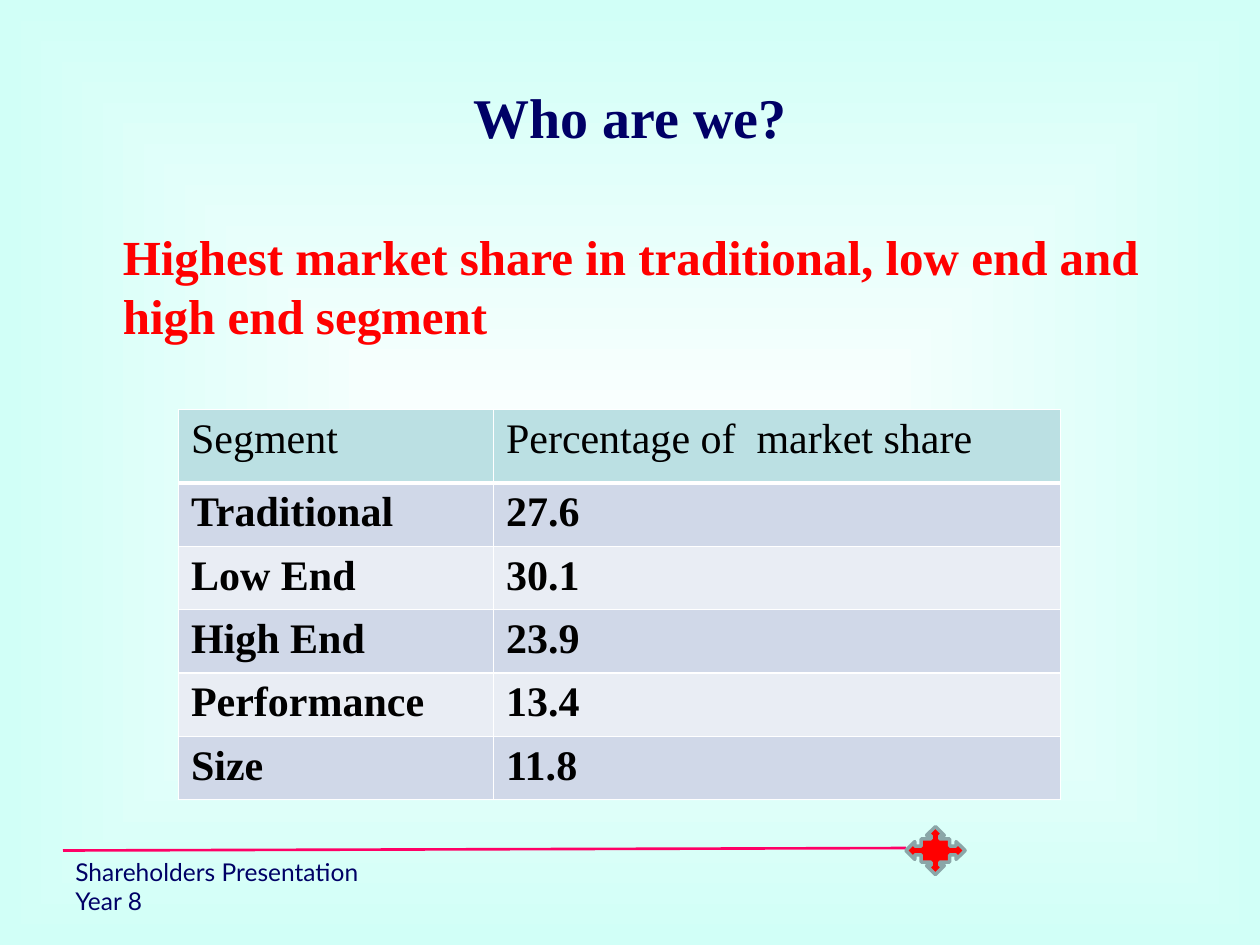
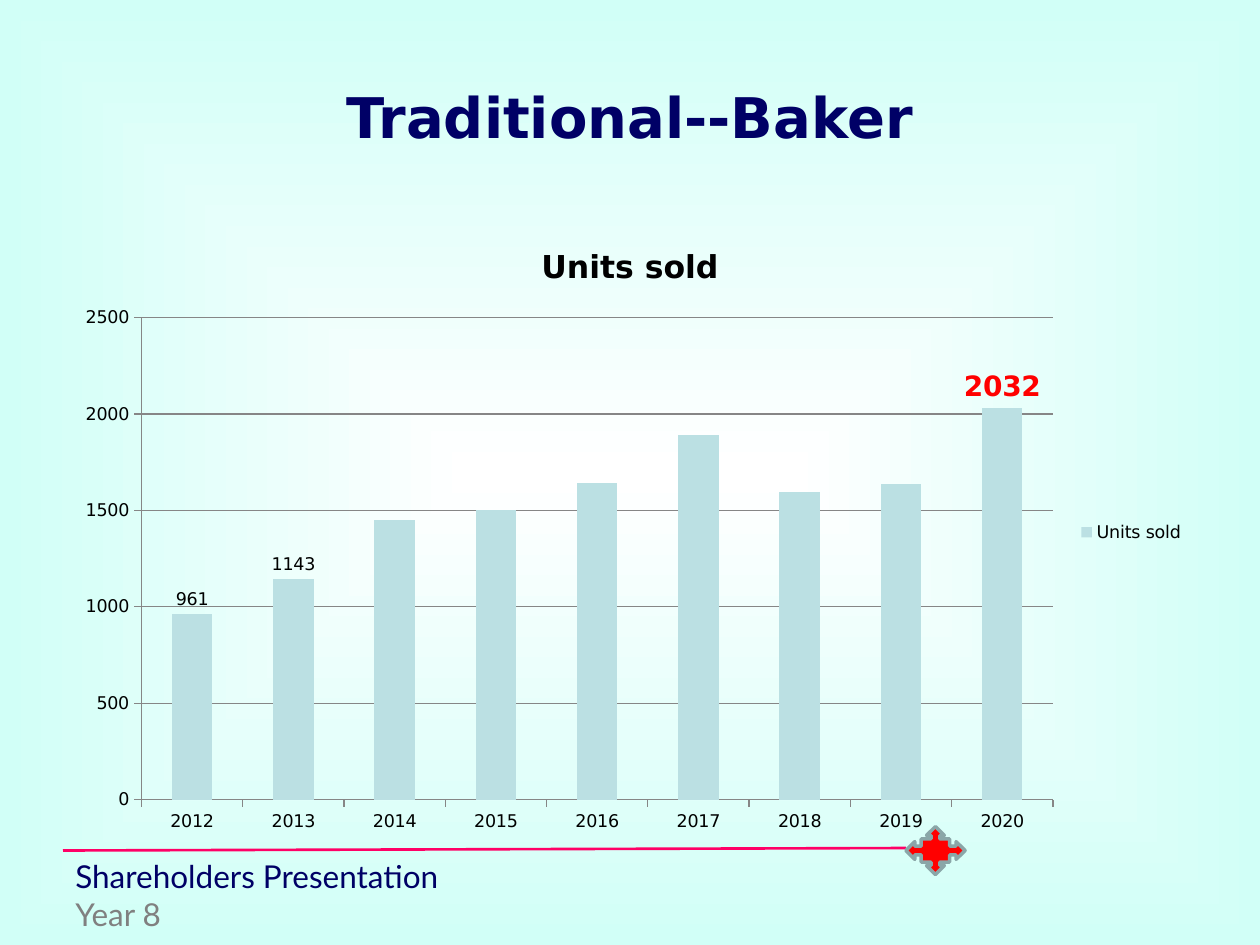
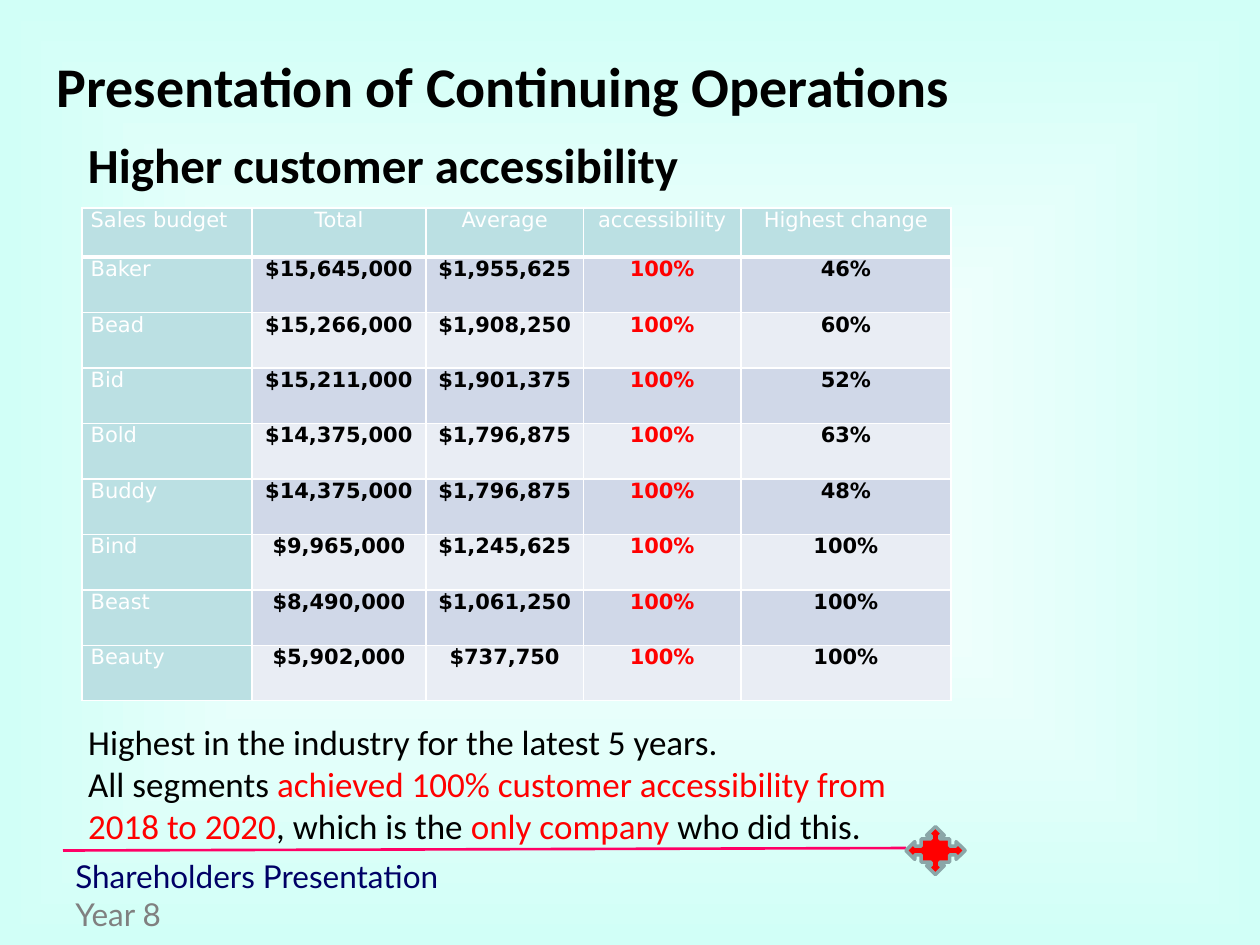
from dataclasses import dataclass

from lxml import etree
from pptx import Presentation
from pptx import util as u
from pptx.chart import data as cd
from pptx.dml import color as col
from pptx.enum import chart as ch
from pptx.enum import shapes, text
from pptx.oxml import ns

Pt = u.Pt
LEFT, CENTER = text.PP_ALIGN.LEFT, text.PP_ALIGN.CENTER
TOP, MIDDLE = text.MSO_ANCHOR.TOP, text.MSO_ANCHOR.MIDDLE


@dataclass(frozen=True)
class Theme:
    navy: str = "000066"
    red: str = "FF0000"
    black: str = "000000"
    white: str = "FFFFFF"
    gray: str = "808080"
    grid: str = "868686"
    mint: str = "D1FFF7"
    teal: str = "BBE0E3"
    band_dark: str = "D0D8E8"
    band_light: str = "E9EDF4"
    rule: str = "FF0066"
    emblem_line: str = "8AA6A8"
    serif: str = "Times New Roman"
    sans: str = "DejaVu Sans"
    plain: str = "Calibri"
    footer: str = "Lato"
    title: float = 32
    lead: float = 28
    cell: float = 24
    note: float = 20
    chart_title: float = 18
    footer_large: float = 18
    highlight: float = 16
    footer_small: float = 14
    small_cell: float = 12
    chart: float = 10


T = Theme()


@dataclass(frozen=True)
class Box:
    x: float
    y: float
    w: float
    h: float

    def lengths(self) -> tuple:
        return Pt(self.x), Pt(self.y), Pt(self.w), Pt(self.h)


@dataclass(frozen=True)
class Style:
    font: str
    size: float
    color: str = T.black
    bold: bool = False


@dataclass(frozen=True)
class Run:
    text: str
    style: Style


@dataclass(frozen=True)
class Cell:
    text: str
    style: Style
    fill: str
    align: int = LEFT


@dataclass(frozen=True)
class Grid:
    x: float
    y: float
    widths: list
    heights: list
    pad_x: float
    pad_y: float


TITLE_BOX = Box(36, 21.6, 648, 90)
BODY_BOX = Box(36, 126, 648, 356.4)
FOOTER_BOX = Box(36, 486, 540, 30.2)
EMBLEM_BOX = Box(517.7, 472.3, 33.8, 27.4)


def rgb(value: str) -> col.RGBColor:
    return col.RGBColor.from_string(value)


def set_font(font, style: Style) -> None:
    font.name, font.size, font.bold = style.font, Pt(style.size), style.bold
    font.color.rgb = rgb(style.color)


def write(tf, paragraphs: list, align=LEFT, anchor=TOP, before: float = 0) -> None:
    tf.word_wrap = True
    tf.auto_size = text.MSO_AUTO_SIZE.NONE
    tf.vertical_anchor = anchor
    for i, runs in enumerate(paragraphs):
        p = tf.paragraphs[0] if i == 0 else tf.add_paragraph()
        p.alignment, p.space_before = align, Pt(before)
        for run in runs:
            r = p.add_run()
            r.text = run.text
            set_font(r.font, run.style)


def place(sp, box: Box) -> None:
    sp.left, sp.top, sp.width, sp.height = box.lengths()


def add_title(s, run: Run, box: Box = TITLE_BOX, align=CENTER, anchor=MIDDLE) -> None:
    sp = s.shapes.title
    place(sp, box)
    write(sp.text_frame, [[run]], align, anchor)


def add_body(s, box: Box, paragraphs: list, indent: float = 0, before: float = 0) -> None:
    sp = s.placeholders[1]
    place(sp, box)
    write(sp.text_frame, paragraphs, before=before)
    for p in sp.text_frame.paragraphs:
        pPr = p._p.get_or_add_pPr()
        pPr.set("marL", str(Pt(indent)))
        pPr.set("indent", "0")
        etree.SubElement(pPr, ns.qn("a:buNone"))


def add_text(s, box: Box, paragraphs: list, before: float = 0) -> None:
    sp = s.shapes.add_textbox(*box.lengths())
    write(sp.text_frame, paragraphs, before=before)


def add_footer(s, size: float, year_color: str) -> None:
    line = s.shapes.add_connector(
        shapes.MSO_CONNECTOR.STRAIGHT, Pt(36), Pt(486), Pt(517.7), Pt(484.6))
    line.line.color.rgb = rgb(T.rule)
    line.line.width = Pt(1.5)
    etree.SubElement(line.element.spPr, ns.qn("a:effectLst"))
    sp = s.shapes.add_shape(shapes.MSO_SHAPE.QUAD_ARROW_CALLOUT, *EMBLEM_BOX.lengths())
    sp.shadow.inherit = False
    sp.fill.solid()
    sp.fill.fore_color.rgb = rgb(T.red)
    sp.line.color.rgb = rgb(T.emblem_line)
    sp.line.width = Pt(2)
    add_text(s, FOOTER_BOX, [
        [Run("Shareholders Presentation", Style(T.footer, size, T.navy))],
        [Run("Year 8", Style(T.footer, size, year_color))],
    ])


def set_background(master) -> None:
    master.background.fill.solid()
    bgPr = master.element.xpath("p:cSld/p:bg/p:bgPr")[0]
    grad = etree.Element(ns.qn("a:gradFill"), rotWithShape="1")
    stops = etree.SubElement(grad, ns.qn("a:gsLst"))
    for pos, value in (("0", T.white), ("100000", T.mint)):
        gs = etree.SubElement(stops, ns.qn("a:gs"), pos=pos)
        etree.SubElement(gs, ns.qn("a:srgbClr"), val=value)
    shade = etree.SubElement(grad, ns.qn("a:path"), path="shape")
    etree.SubElement(shade, ns.qn("a:fillToRect"), l="50000", t="50000", r="50000", b="50000")
    bgPr.replace(bgPr[0], grad)


def set_borders(cell, top: float, bottom: float) -> None:
    tcPr = cell._tc.get_or_add_tcPr()
    edges = (("a:lnL", 1), ("a:lnR", 1), ("a:lnT", top), ("a:lnB", bottom))
    for i, (tag, width) in enumerate(edges):
        ln = etree.Element(ns.qn(tag), w=str(Pt(width)))
        fill = etree.SubElement(ln, ns.qn("a:solidFill"))
        etree.SubElement(fill, ns.qn("a:srgbClr"), val=T.white)
        tcPr.insert(i, ln)


def add_table(s, grid: Grid, rows: list) -> None:
    box = Box(grid.x, grid.y, sum(grid.widths), sum(grid.heights))
    table = s.shapes.add_table(len(rows), len(grid.widths), *box.lengths()).table
    table.first_row = table.horz_banding = False
    for column, width in zip(table.columns, grid.widths):
        column.width = Pt(width)
    for i, row in enumerate(rows):
        table.rows[i].height = Pt(grid.heights[i])
        for j, item in enumerate(row):
            cell = table.cell(i, j)
            cell.margin_left = cell.margin_right = Pt(grid.pad_x)
            cell.margin_top = cell.margin_bottom = Pt(grid.pad_y)
            cell.fill.solid()
            cell.fill.fore_color.rgb = rgb(item.fill)
            set_borders(cell, 3 if i == 1 else 1, 3 if i == 0 else 1)
            p = cell.text_frame.paragraphs[0]
            p.alignment = item.align
            r = p.add_run()
            r.text = item.text
            set_font(r.font, item.style)


def band(i: int) -> str:
    return T.band_light if i % 2 else T.band_dark


def build_share_slide(prs) -> None:
    s = prs.slides.add_slide(prs.slide_layouts[1])
    add_footer(s, T.footer_small, T.navy)
    add_title(s, Run("Who are we?", Style(T.serif, T.title, T.navy, True)))
    lead = Run("Highest market share in traditional, low end and high end segment",
               Style(T.serif, T.lead, T.red, True))
    add_body(s, BODY_BOX, [[lead]], indent=27, before=5.6)
    shares = [("Traditional", "27.6"), ("Low End", "30.1"), ("High End", "23.9"),
              ("Performance", "13.4"), ("Size", "11.8")]
    header, strong = Style(T.serif, T.cell), Style(T.serif, T.cell, bold=True)
    rows = [[Cell(t, header, T.teal) for t in ("Segment", "Percentage of  market share")]]
    rows += [[Cell(t, strong, band(i)) for t in pair] for i, pair in enumerate(shares)]
    add_table(s, Grid(102, 234, [180, 324], [42] + [36.2] * 5, 7.2, 3.6), rows)


def build_sales_slide(prs) -> None:
    s = prs.slides.add_slide(prs.slide_layouts[5])
    add_footer(s, T.footer_large, T.gray)
    add_title(s, Run("Traditional--Baker", Style(T.sans, T.title, T.navy, True)))
    data = cd.CategoryChartData()
    data.categories = [str(year) for year in range(2012, 2021)]
    data.add_series("Units sold", (961, 1143, 1448, 1504, 1643, 1891, 1593, 1635, 2032))
    chart = s.shapes.add_chart(
        ch.XL_CHART_TYPE.COLUMN_CLUSTERED, *BODY_BOX.lengths(), data).chart
    base = Style(T.sans, T.chart)
    set_font(chart.font, base)
    chart.has_title = True
    r = chart.chart_title.text_frame.paragraphs[0].add_run()
    r.text = "Units sold"
    set_font(r.font, Style(T.sans, T.chart_title, bold=True))
    chart.has_legend = True
    chart.legend.position = ch.XL_LEGEND_POSITION.RIGHT
    chart.legend.include_in_layout = False
    values = chart.value_axis
    values.minimum_scale, values.maximum_scale, values.major_unit = 0, 2500, 500
    values.has_major_gridlines = True
    for fmt in (values.format, chart.category_axis.format, values.major_gridlines.format):
        fmt.line.color.rgb = rgb(T.grid)
        fmt.line.width = Pt(0.75)
    for axis in (values, chart.category_axis):
        axis.major_tick_mark = ch.XL_TICK_MARK.OUTSIDE
    plot = chart.plots[0]
    plot.gap_width, plot.vary_by_categories = 150, False
    series = plot.series[0]
    series.format.fill.solid()
    series.format.fill.fore_color.rgb = rgb(T.teal)
    series.data_labels.show_value = False
    record = Style(T.sans, T.highlight, T.red, True)
    for i, style in ((0, base), (1, base), (8, record)):
        label = series.points[i].data_label
        set_font(label.font, style)
        label.position = ch.XL_LABEL_POSITION.OUTSIDE_END


def build_access_slide(prs) -> None:
    s = prs.slides.add_slide(prs.slide_layouts[1])
    add_footer(s, T.footer_large, T.gray)
    add_title(s, Run("Presentation of Continuing Operations", Style(T.plain, T.title, bold=True)),
              Box(25.2, 25.9, 557.3, 46.1), LEFT, TOP)
    add_text(s, Box(43.2, 73.4, 595.4, 43.2),
             [[Run("Higher customer accessibility", Style(T.plain, T.lead, bold=True))]], 5.6)

    label = Style(T.sans, T.small_cell, T.white)
    figure = Style(T.sans, T.small_cell, bold=True)
    access = Style(T.sans, T.small_cell, T.red, True)
    header = ("Sales budget", "Total", "Average", "accessibility", "Highest change")
    budgets = [
        ("Baker", "$15,645,000", "$1,955,625", "100%", "46%"),
        ("Bead", "$15,266,000", "$1,908,250", "100%", "60%"),
        ("Bid", "$15,211,000", "$1,901,375", "100%", "52%"),
        ("Bold", "$14,375,000", "$1,796,875", "100%", "63%"),
        ("Buddy", "$14,375,000", "$1,796,875", "100%", "48%"),
        ("Bind", "$9,965,000", "$1,245,625", "100%", "100%"),
        ("Beast", "$8,490,000", "$1,061,250", "100%", "100%"),
        ("Beauty", "$5,902,000", "$737,750", "100%", "100%"),
    ]
    styles = (label, figure, figure, access, figure)
    aligns = (LEFT, CENTER, CENTER, CENTER, CENTER)
    rows = [[Cell(t, label, T.teal, a) for t, a in zip(header, aligns)]]
    for i, budget in enumerate(budgets):
        fills = [T.teal] + [band(i)] * 4
        rows.append([Cell(*parts) for parts in zip(budget, styles, fills, aligns)])
    add_table(s, Grid(46.8, 118.8, [97.2, 99.4, 90, 90, 120], [28.1] + [31.7] * 8, 5, 0), rows)

    plain, stress = Style(T.plain, T.note), Style(T.plain, T.note, T.red)
    add_body(s, Box(43.2, 408.2, 488.9, 79.9), [
        [Run("Highest in the industry for the latest 5 years.", plain)],
        [Run("All segments ", plain),
         Run("achieved 100% customer accessibility from 2018 to 2020", stress),
         Run(", which is the ", plain),
         Run("only company ", stress),
         Run("who did this.", plain)],
    ])


def main() -> None:
    prs = Presentation()
    prs.slide_width, prs.slide_height = Pt(720), Pt(540)
    set_background(prs.slide_master)
    build_share_slide(prs)
    build_sales_slide(prs)
    build_access_slide(prs)
    prs.save("out.pptx")


if __name__ == "__main__":
    main()
